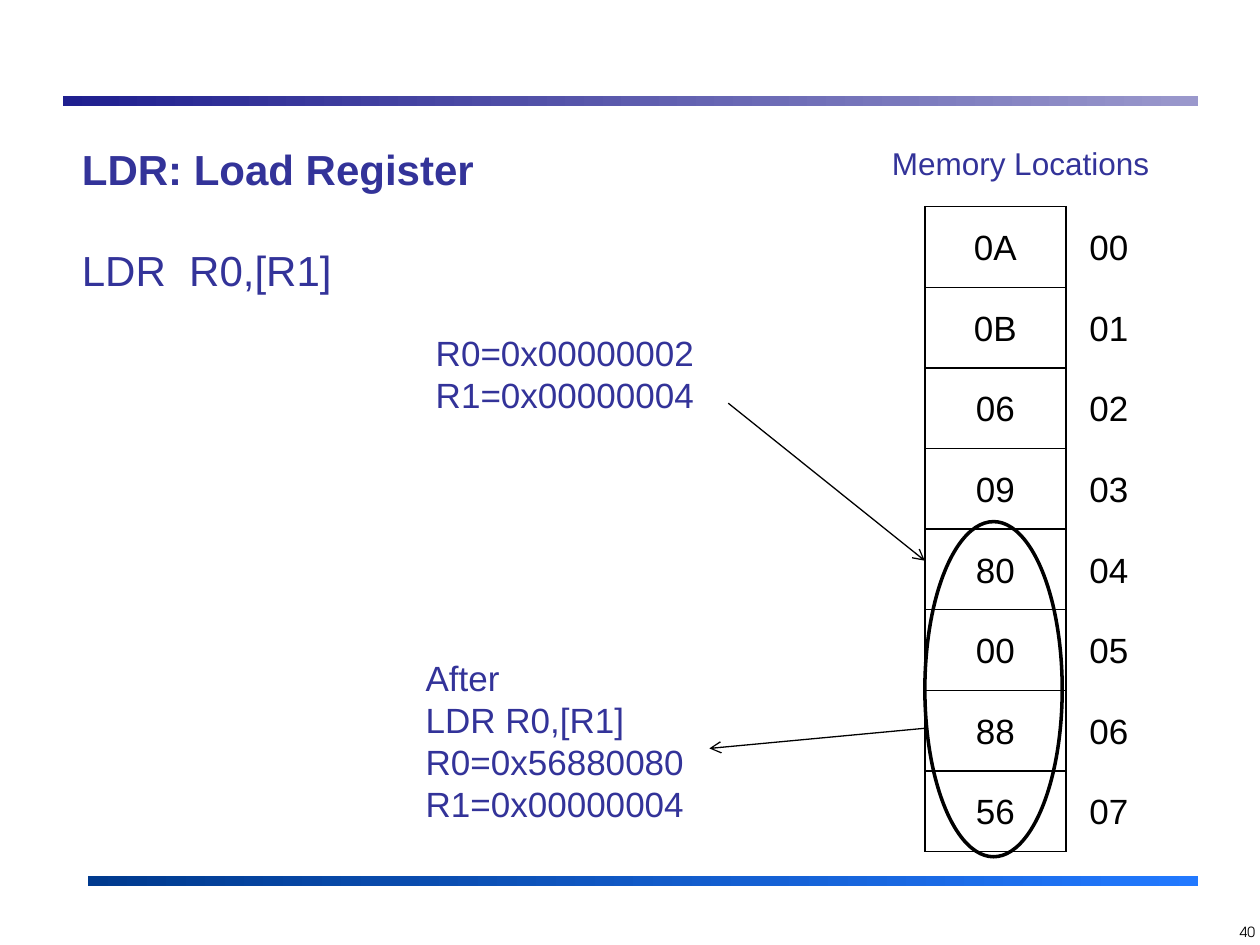
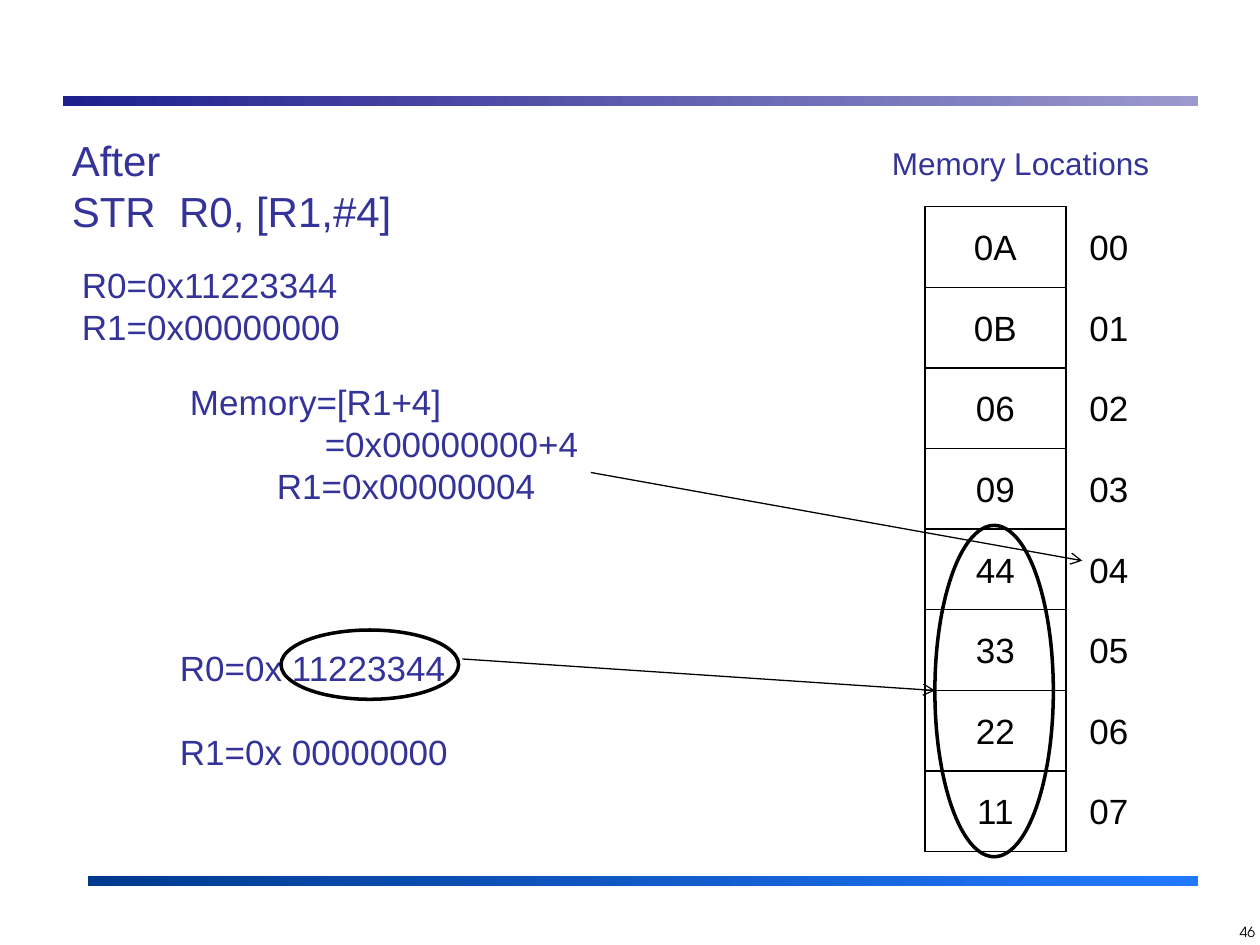
from dataclasses import dataclass
from typing import NamedTuple

from lxml import etree
from pptx import Presentation
from pptx.dml.color import RGBColor
from pptx.enum import shapes, text
from pptx.oxml import ns
from pptx.util import Inches, Pt

INDIGO = RGBColor(0x33, 0x33, 0x99)
BLACK = RGBColor(0, 0, 0)
FONT = "Arial"
NUMBER_FONT = "TeX Gyre Adventor"
ROW_HEIGHT = 0.64
COLUMN_WIDTHS = (1.12, 0.68)
LEFT, RIGHT = text.PP_ALIGN.LEFT, text.PP_ALIGN.RIGHT


class Box(NamedTuple):
    left: float
    top: float
    width: float
    height: float

    def lengths(self) -> list:
        return [Inches(value) for value in self]


class Band(NamedTuple):
    box: Box
    start: RGBColor
    end: RGBColor


class Arrow(NamedTuple):
    start: tuple[float, float]
    end: tuple[float, float]


@dataclass
class Note:
    box: Box
    content: str
    size: int = 20
    bold: bool = False
    indents: tuple[float, ...] = ()
    space_before: int = 0


@dataclass
class MemorySlide:
    number: int
    title: Note
    body: Note
    memory: list[str]
    notes: list[Note]
    ovals: list[Box]
    arrows: list[Arrow]


BANDS = [
    Band(Box(0.5, 0.76, 9.01, 0.08), RGBColor(0x1F, 0x1F, 0x8F), RGBColor(0x9A, 0x98, 0xCC)),
    Band(Box(0.7, 6.95, 8.81, 0.08), RGBColor(0x00, 0x3A, 0x8E), RGBColor(0x22, 0x79, 0xFF)),
]

SLIDES = [
    MemorySlide(
        number=40,
        title=Note(Box(0.55, 1.09, 4.77, 0.5), "LDR: Load Register", 24, bold=True),
        body=Note(Box(0.55, 1.89, 4.77, 0.5), "LDR  R0,[R1]", 24),
        memory=["0A", "0B", "06", "09", "80", "00", "88", "56"],
        notes=[
            Note(Box(3.36, 2.58, 2.42, 0.77), "R0=0x00000002\nR1=0x00000004"),
            Note(Box(3.28, 5.16, 2.34, 1.45),
                 "After\nLDR R0,[R1]\nR0=0x56880080\nR1=0x00000004"),
        ],
        ovals=[Box(7.34, 4.14, 1.09, 2.66)],
        arrows=[Arrow((5.78, 3.2), (7.34, 4.45)), Arrow((7.34, 5.78), (5.63, 5.94))],
    ),
    MemorySlide(
        number=46,
        title=Note(Box(0.47, 1.02, 5.3, 0.91), "After\nSTR  R0, [R1,#4]", 24),
        body=Note(Box(0.55, 2.04, 2.27, 0.77), "R0=0x11223344\nR1=0x00000000"),
        memory=["0A", "0B", "06", "09", "44", "33", "22", "11"],
        notes=[
            Note(Box(1.41, 2.97, 3.36, 1.11),
                 "Memory=[R1+4]\n=0x00000000+4\nR1=0x00000004", indents=(0, 1.07, 0.69)),
            Note(Box(1.33, 5.08, 4.53, 1.11),
                 "R0=0x 11223344\nR1=0x 00000000", space_before=24),
        ],
        ovals=[Box(7.42, 4.17, 0.94, 2.63), Box(2.23, 5, 1.41, 0.55)],
        arrows=[Arrow((4.69, 3.75), (8.59, 4.45)), Arrow((3.67, 5.23), (7.42, 5.48))],
    ),
]


def write_text(frame, content: str, *, size: int = 20, bold: bool = False,
               color: RGBColor = INDIGO, font: str = FONT, align=LEFT,
               indents: tuple[float, ...] = (), space_before: int = 0) -> None:
    """Write one unbulleted paragraph per line, with fixed line spacing."""
    frame.text = content
    for index, paragraph in enumerate(frame.paragraphs):
        properties = paragraph._p.get_or_add_pPr()
        properties.set("marL", str(Inches(indents[index] if indents else 0)))
        properties.set("indent", "0")
        etree.SubElement(properties, ns.qn("a:buNone"))
        paragraph.alignment = align
        paragraph.line_spacing = Pt(size * 1.2)
        paragraph.space_before = Pt(space_before if index else 0)
        for run in paragraph.runs:
            run.font.name = font
            run.font.size = Pt(size)
            run.font.bold = bold
            run.font.color.rgb = color


def format_frame(shape) -> None:
    frame = shape.text_frame
    frame.word_wrap = True
    frame.auto_size = text.MSO_AUTO_SIZE.NONE
    frame.vertical_anchor = text.MSO_ANCHOR.TOP


def add_text(slide, box: Box, content: str, **style) -> None:
    shape = slide.shapes.add_textbox(*box.lengths())
    format_frame(shape)
    write_text(shape.text_frame, content, **style)


def add_note(slide, note: Note) -> None:
    add_text(slide, note.box, note.content, size=note.size, bold=note.bold,
             indents=note.indents, space_before=note.space_before)


def fill_placeholder(placeholder, note: Note) -> None:
    placeholder.left, placeholder.top, placeholder.width, placeholder.height = note.box.lengths()
    format_frame(placeholder)
    write_text(placeholder.text_frame, note.content, size=note.size, bold=note.bold)


def add_band(slide, band: Band) -> None:
    shape = slide.shapes.add_shape(shapes.MSO_SHAPE.RECTANGLE, *band.box.lengths())
    shape.shadow.inherit = False
    shape.line.fill.background()
    shape.fill.gradient()
    shape.fill.gradient_angle = 0
    for stop, color in zip(shape.fill.gradient_stops, (band.start, band.end)):
        stop.color.rgb = color


def add_oval(slide, box: Box) -> None:
    shape = slide.shapes.add_shape(shapes.MSO_SHAPE.OVAL, *box.lengths())
    shape.shadow.inherit = False
    shape.fill.background()
    shape.line.color.rgb = BLACK
    shape.line.width = Pt(2)


def add_arrow(slide, arrow: Arrow) -> None:
    ends = [Inches(value) for value in (*arrow.start, *arrow.end)]
    connector = slide.shapes.add_connector(shapes.MSO_CONNECTOR.STRAIGHT, *ends)
    connector.line.color.rgb = BLACK
    connector.line.width = Pt(0.75)
    etree.SubElement(connector.line._get_or_add_ln(), ns.qn("a:tailEnd"), type="arrow")
    etree.SubElement(connector._element.spPr, ns.qn("a:effectLst"))


def set_borders(cell, drawn_sides: str) -> None:
    """Draw the given sides of a cell (any of L, R, T, B) and hide the others."""
    properties = cell._tc.get_or_add_tcPr()
    for side in "LRTB":
        line = etree.SubElement(properties, ns.qn(f"a:ln{side}"), w=str(Pt(1)))
        if side in drawn_sides:
            fill = etree.SubElement(line, ns.qn("a:solidFill"))
            etree.SubElement(fill, ns.qn("a:srgbClr"), val=str(BLACK))
        else:
            etree.SubElement(line, ns.qn("a:noFill"))


def add_memory_table(slide, memory: list[str]) -> None:
    box = Box(7.34, 1.64, sum(COLUMN_WIDTHS), ROW_HEIGHT * len(memory))
    table = slide.shapes.add_table(len(memory), 2, *box.lengths()).table
    table.first_row = table.horz_banding = False
    for column, width in zip(table.columns, COLUMN_WIDTHS):
        column.width = Inches(width)
    for address, value in enumerate(memory):
        for column, (content, sides) in enumerate([(value, "LRTB"), (f"{address:02}", "L")]):
            cell = table.cell(address, column)
            set_borders(cell, sides)
            cell.fill.background()
            cell.vertical_anchor = text.MSO_ANCHOR.MIDDLE
            write_text(cell.text_frame, content, color=BLACK, align=text.PP_ALIGN.CENTER)


def build_slide(presentation, content: MemorySlide) -> None:
    slide = presentation.slides.add_slide(presentation.slide_layouts[1])
    for band in BANDS:
        add_band(slide, band)
    add_text(slide, Box(9.62, 7.28, 0.44, 0.31), str(content.number),
             size=8, color=BLACK, font=NUMBER_FONT, align=RIGHT)
    fill_placeholder(slide.shapes.title, content.title)
    fill_placeholder(slide.placeholders[1], content.body)
    add_memory_table(slide, content.memory)
    add_text(slide, Box(5.86, 1.09, 3.36, 0.4), "Memory Locations", size=18, align=RIGHT)
    for note in content.notes:
        add_note(slide, note)
    for oval in content.ovals:
        add_oval(slide, oval)
    for arrow in content.arrows:
        add_arrow(slide, arrow)


def main() -> None:
    presentation = Presentation()
    presentation.slide_width = Inches(10)
    presentation.slide_height = Inches(7.5)
    for content in SLIDES:
        build_slide(presentation, content)
    presentation.save("out.pptx")


if __name__ == "__main__":
    main()
